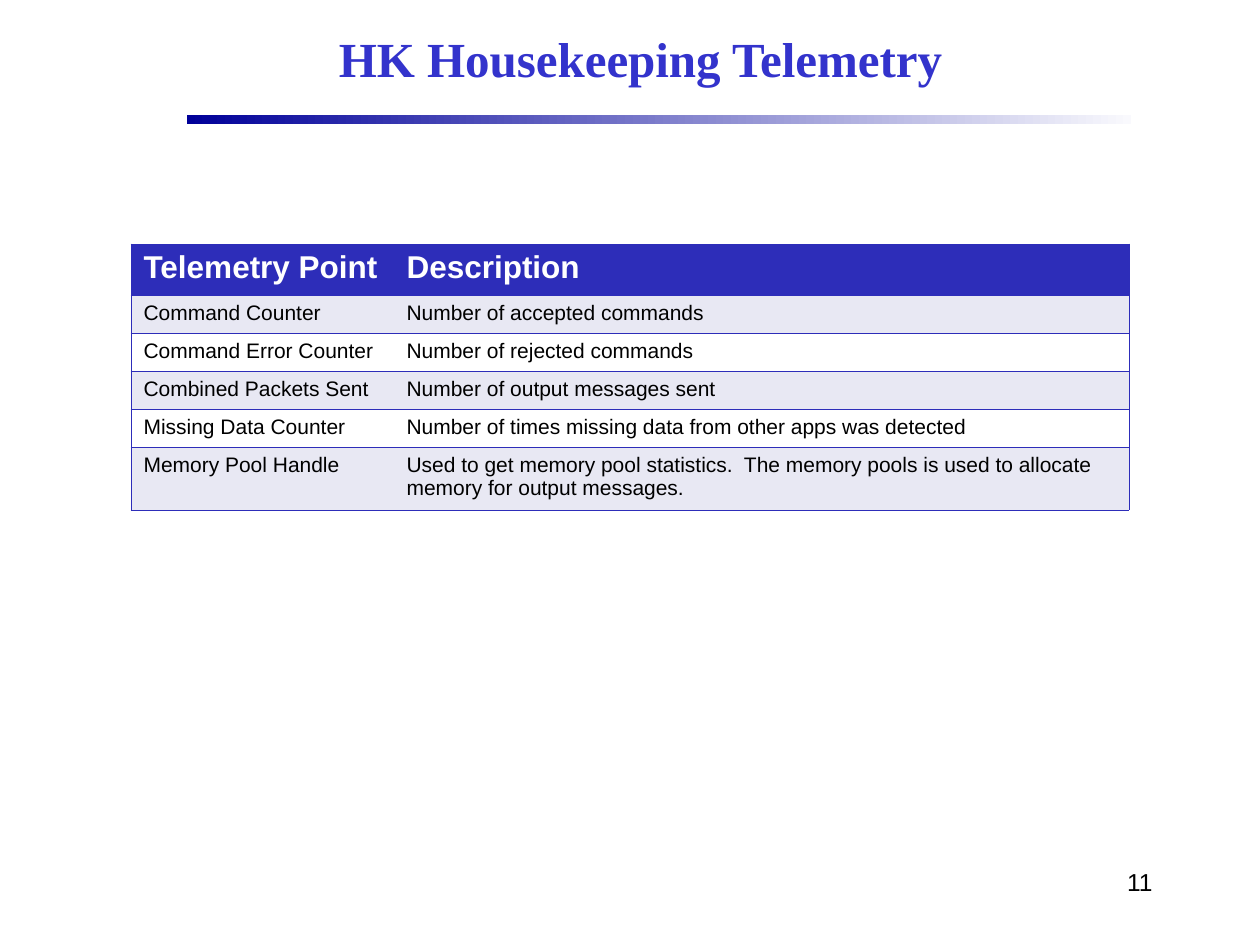
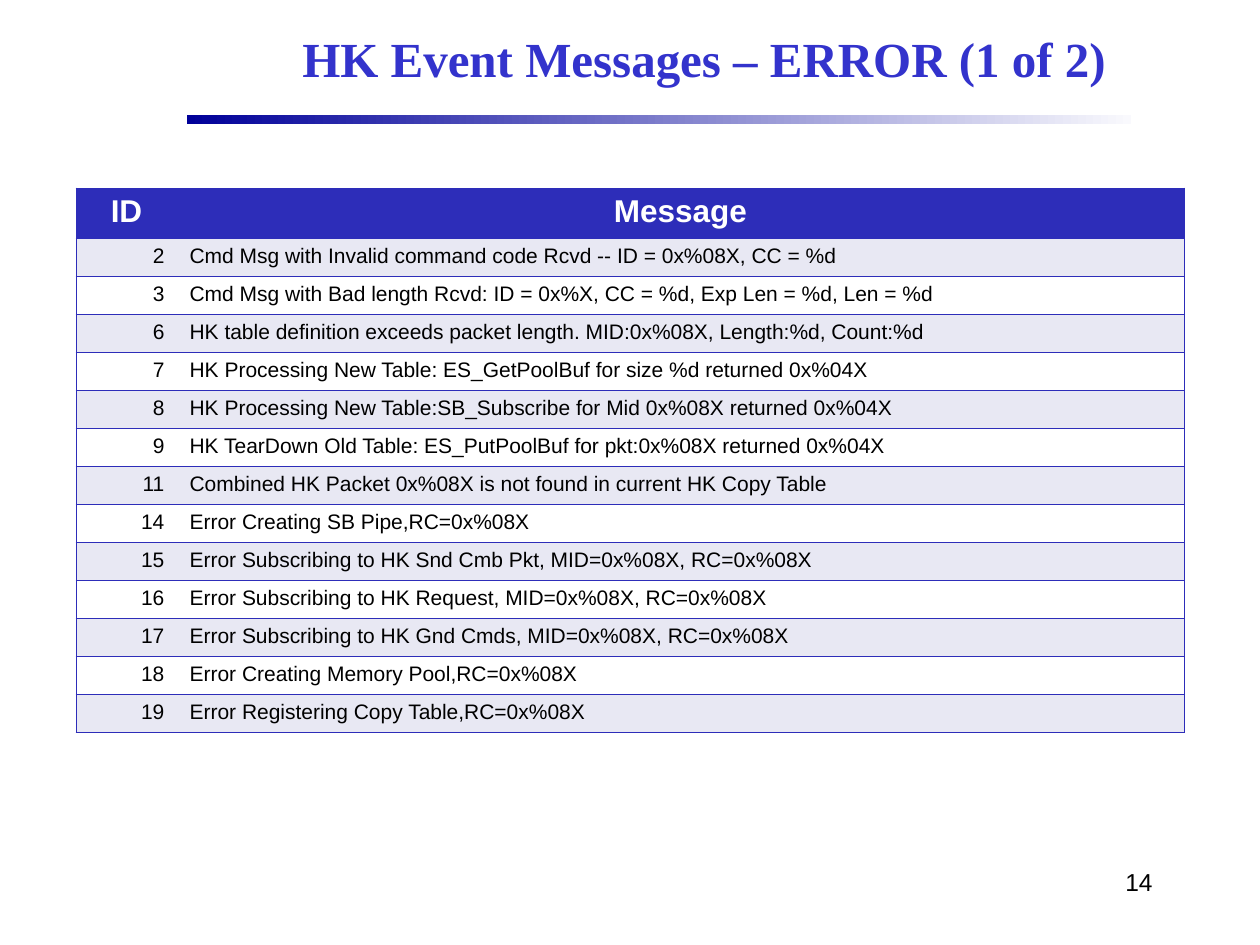
from lxml.etree import SubElement
from pptx import Presentation
from pptx.dml.color import RGBColor
from pptx.enum.shapes import MSO_SHAPE
from pptx.enum.text import MSO_ANCHOR, PP_ALIGN
from pptx.oxml import parse_xml
from pptx.oxml.ns import nsdecls, qn
from pptx.util import Pt

SCALE = 914400 / 126
BLUE = "2D2DB9"
PALE = "E8E8F3"
WHITE = "FFFFFF"
LEFT, MID, RIGHT = PP_ALIGN.LEFT, PP_ALIGN.CENTER, PP_ALIGN.RIGHT

TITLE = {"name": "Times New Roman", "size": Pt(28), "bold": True, "color": "3333CC"}
NUMBER = {"name": "Arial", "size": Pt(14), "bold": False, "color": "000000"}
HEAD = {"name": "Arial", "size": Pt(18), "bold": True, "color": WHITE}
BODY = {"name": "Arial", "size": Pt(12), "bold": False, "color": "000000"}

POINTS = [
    ("Telemetry Point", "Description"),
    ("Command Counter", "Number of accepted commands"),
    ("Command Error Counter", "Number of rejected commands"),
    ("Combined Packets Sent", "Number of output messages sent"),
    ("Missing Data Counter", "Number of times missing data from other apps was detected"),
    ("Memory Pool Handle", "Used to get memory pool statistics.  The memory pools is used "
                           "to allocate memory for output messages."),
]
ERRORS = [
    ("ID", "Message"),
    ("2", "Cmd Msg with Invalid command code Rcvd -- ID = 0x%08X, CC = %d"),
    ("3", "Cmd Msg with Bad length Rcvd: ID = 0x%X, CC = %d, Exp Len = %d, Len = %d"),
    ("6", "HK table definition exceeds packet length. MID:0x%08X, Length:%d, Count:%d"),
    ("7", "HK Processing New Table: ES_GetPoolBuf for size %d returned 0x%04X"),
    ("8", "HK Processing New Table:SB_Subscribe for Mid 0x%08X returned 0x%04X"),
    ("9", "HK TearDown Old Table: ES_PutPoolBuf for pkt:0x%08X returned 0x%04X"),
    ("11", "Combined HK Packet 0x%08X is not found in current HK Copy Table"),
    ("14", "Error Creating SB Pipe,RC=0x%08X"),
    ("15", "Error Subscribing to HK Snd Cmb Pkt, MID=0x%08X, RC=0x%08X"),
    ("16", "Error Subscribing to HK Request, MID=0x%08X, RC=0x%08X"),
    ("17", "Error Subscribing to HK Gnd Cmds, MID=0x%08X, RC=0x%08X"),
    ("18", "Error Creating Memory Pool,RC=0x%08X"),
    ("19", "Error Registering Copy Table,RC=0x%08X"),
]


def px(*sizes):
    """Turn px into EMU: one value, or a list of them."""
    emu = [round(size * SCALE) for size in sizes]
    return emu[0] if len(emu) == 1 else emu


def rgb(code):
    return RGBColor.from_string(code)


def write(frame, text, style, align):
    para = frame.paragraphs[0]
    para.alignment = align
    run = para.add_run()
    run.text = text
    for key, value in style.items():
        if key == "color":
            run.font.color.rgb = rgb(value)
        else:
            setattr(run.font, key, value)


def add_text(slide, box, text, style, align, anchor):
    frame = slide.shapes.add_textbox(*px(*box)).text_frame
    frame.word_wrap = True
    frame.vertical_anchor = anchor
    write(frame, text, style, align)


def add_rule(slide, box):
    """Draw the fading band below the title."""
    rule = slide.shapes.add_shape(MSO_SHAPE.RECTANGLE, *px(*box))
    rule.shadow.inherit = False
    rule.line.fill.background()
    rule.fill.gradient()
    rule.fill.gradient_angle = 0
    for stop, code in zip(rule.fill.gradient_stops, ("000099", "F9F9FD")):
        stop.color.rgb = rgb(code)


def add_edges(cell, shown):
    """Line the named sides of a cell and clear the others."""
    props = cell._tc.get_or_add_tcPr()
    for spot, side in enumerate("LRTB"):
        edge = parse_xml(f'<a:ln{side} {nsdecls("a")} w="5715"/>')
        if side in shown:
            paint = SubElement(edge, qn("a:solidFill"))
            SubElement(paint, qn("a:srgbClr"), val=BLUE)
        else:
            SubElement(edge, qn("a:noFill"))
        props.insert(spot, edge)


def add_grid(slide, box, rows, cols, heights, heads, aligns):
    """Fill a two-column table with a blue head and striped rows."""
    frame = slide.shapes.add_table(len(rows), len(cols), *px(*box))
    table = frame.table
    table.first_row = table.horz_banding = False
    for col, width in zip(table.columns, cols):
        col.width = px(width)
    for row, height in zip(table.rows, heights):
        row.height = px(height)
    for i, texts in enumerate(rows):
        tint = BLUE if i == 0 else PALE if i % 2 else WHITE
        for j, text in enumerate(texts):
            cell = table.cell(i, j)
            cell.fill.solid()
            cell.fill.fore_color.rgb = rgb(tint)
            add_edges(cell, "LTB" if j == 0 else "RTB")
            write(cell.text_frame, text, HEAD if i == 0 else BODY,
                  heads[j] if i == 0 else aligns[j])


def add_page(deck, title, left, width, number):
    """Start a slide with its title, rule and page number."""
    slide = deck.slides.add_slide(deck.slide_layouts[6])
    add_rule(slide, (187, 115, 944, 9))
    add_text(slide, (left, 10, width, 95), title, TITLE, MID, MSO_ANCHOR.MIDDLE)
    add_text(slide, (903, 861, 262, 63), number, NUMBER, RIGHT, MSO_ANCHOR.TOP)
    return slide


def main():
    deck = Presentation()
    deck.slide_width, deck.slide_height = px(1260, 945)

    page = add_page(deck, "HK Housekeeping Telemetry", 189, 903, "11")
    add_grid(page, (131, 244, 998, 266), POINTS, (263, 735),
             [51] + [38] * 4 + [63], (LEFT, LEFT), (LEFT, LEFT))

    page = add_page(deck, "HK Event Messages – ERROR (1 of 2)", 278, 852, "14")
    add_grid(page, (76, 188, 1108, 544), ERRORS, (101, 1007),
             [50] + [38] * 13, (MID, MID), (RIGHT, LEFT))

    deck.save("out.pptx")


if __name__ == "__main__":
    main()
